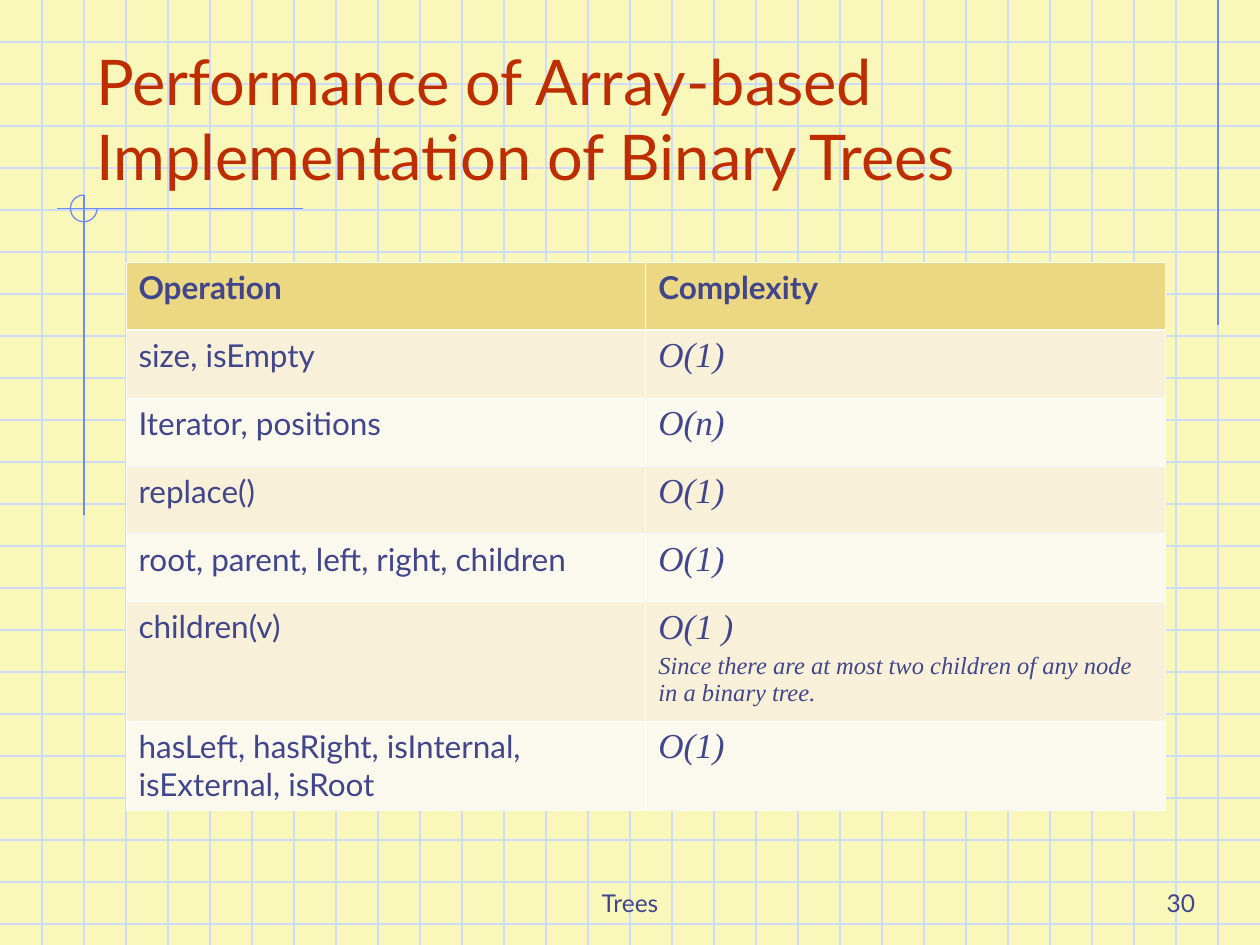
from dataclasses import dataclass

from pptx import Presentation
from pptx.dml.color import RGBColor
from pptx.enum.shapes import MSO_CONNECTOR, MSO_SHAPE
from pptx.enum.text import MSO_ANCHOR, PP_ALIGN
from pptx.oxml.ns import qn
from pptx.util import Pt
from lxml.etree import SubElement


@dataclass(frozen=True)
class Theme:
    paper: str = "F9F8BA"
    grid: str = "CFDBFD"
    accent: str = "6F89F7"
    title: str = "BE2D00"
    ink: str = "40458C"
    header: str = "ECD882"
    bands: tuple = ("F8F0D8", "FBF8ED")
    border: str = "FFFFFF"
    body_font: str = "Lato"
    math_font: str = "Times New Roman"
    title_size: float = 36
    body_size: float = 18
    math_size: float = 20
    small_size: float = 14
    line_width: float = 0.75
    border_width: float = 0.45
    header_border_width: float = 1.47


THEME = Theme()
WIDTH, HEIGHT, GRID_STEP = 720, 540, 24
ROW_HEIGHTS = [38.75] * 6 + [68, 51]
ROW_HEIGHTS = [38.75] * 5 + [68, 51]
ROWS = [
    ("Operation", ["Complexity"]),
    ("size, isEmpty", ["O(1)"]),
    ("Iterator, positions", ["O(n)"]),
    ("replace()", ["O(1)"]),
    ("root, parent, left, right, children", ["O(1)"]),
    ("children(v)", ["O(1 )", "Since there are at most two children of any node in a binary tree."]),
    ("hasLeft, hasRight, isInternal, isExternal, isRoot", ["O(1)"]),
]


def color(value):
    return RGBColor.from_string(value)


def style_paragraph(para, size, ink, font=THEME.body_font, bold=False, italic=False):
    for span in para.runs:
        span.font.size = Pt(size)
        span.font.name = font
        span.font.bold = bold
        span.font.italic = italic
        span.font.color.rgb = color(ink)


def add_line(page, start, end, ink):
    points = [Pt(value) for value in (*start, *end)]
    line = page.shapes.add_connector(MSO_CONNECTOR.STRAIGHT, *points)
    line.line.color.rgb = color(ink)
    line.line.width = Pt(THEME.line_width)
    SubElement(line._element.spPr, qn("a:effectLst"))


def add_grid(page):
    for y in range(GRID_STEP, HEIGHT, GRID_STEP):
        add_line(page, (0, y), (WIDTH, y), THEME.grid)
    for x in range(GRID_STEP, WIDTH, GRID_STEP):
        add_line(page, (x, 0), (x, HEIGHT), THEME.grid)


def add_ornament(page):
    add_line(page, (696, 0), (696, 186), THEME.accent)
    add_line(page, (173, 119.25), (32.5, 119.25), THEME.accent)
    add_line(page, (48, 111.5), (48, 294.5), THEME.accent)
    arc = page.shapes.add_shape(MSO_SHAPE.ARC, Pt(40.25), Pt(111.5), Pt(15.25), Pt(15.25))
    arc.adjustments[0] = 0
    arc.adjustments[1] = 162
    arc.shadow.inherit = False
    arc.fill.background()
    arc.line.color.rgb = color(THEME.accent)
    arc.line.width = Pt(THEME.line_width)


def add_text(page, text, frame, size, ink, align=PP_ALIGN.LEFT):
    box = page.shapes.add_textbox(*[Pt(value) for value in frame])
    box.text_frame.word_wrap = True
    box.text_frame.vertical_anchor = MSO_ANCHOR.BOTTOM
    box.text_frame.text = text
    para = box.text_frame.paragraphs[0]
    para.alignment = align
    style_paragraph(para, size, ink)


def add_borders(cell, top, bottom):
    properties = cell._tc.get_or_add_tcPr()
    widths = {"L": THEME.border_width, "R": THEME.border_width, "T": top, "B": bottom}
    for side, width in widths.items():
        edge = SubElement(properties, qn(f"a:ln{side}"), w=str(Pt(width)))
        fill = SubElement(edge, qn("a:solidFill"))
        SubElement(fill, qn("a:srgbClr"), val=THEME.border)


def format_cell(cell, row):
    thin, thick = THEME.border_width, THEME.header_border_width
    add_borders(cell, thick if row == 1 else thin, thick if row == 0 else thin)
    cell.fill.solid()
    cell.fill.fore_color.rgb = color(THEME.bands[(row - 1) % 2] if row else THEME.header)


def fill_complexity(cell, lines):
    cell.text_frame.text = "\n".join(lines)
    for index, para in enumerate(cell.text_frame.paragraphs):
        size = THEME.small_size if index else THEME.math_size
        style_paragraph(para, size, THEME.ink, THEME.math_font, italic=True)
        if index:
            para.space_before = Pt(3.5)


def add_complexity_table(page):
    frame = page.shapes.add_table(len(ROWS), 2, Pt(72), Pt(150), Pt(594), Pt(sum(ROW_HEIGHTS)))
    table = frame.table
    for column in table.columns:
        column.width = Pt(297)
    for row, (operation, complexity) in enumerate(ROWS):
        table.rows[row].height = Pt(ROW_HEIGHTS[row])
        left, right = table.cell(row, 0), table.cell(row, 1)
        format_cell(left, row)
        format_cell(right, row)
        left.text_frame.text = operation
        style_paragraph(left.text_frame.paragraphs[0], THEME.body_size, THEME.ink, bold=row == 0)
        if row:
            fill_complexity(right, complexity)
        else:
            right.text_frame.text = complexity[0]
            style_paragraph(right.text_frame.paragraphs[0], THEME.body_size, THEME.ink, bold=True)


def main():
    deck = Presentation()
    deck.slide_width, deck.slide_height = Pt(WIDTH), Pt(HEIGHT)
    page = deck.slides.add_slide(deck.slide_layouts[6])
    page.background.fill.solid()
    page.background.fill.fore_color.rgb = color(THEME.paper)
    add_grid(page)
    add_ornament(page)
    add_text(page, "Trees", (246, 492, 228, 36), THEME.small_size, THEME.ink, PP_ALIGN.CENTER)
    add_text(page, "30", (540, 492, 150, 36), THEME.small_size, THEME.ink, PP_ALIGN.RIGHT)
    add_text(page, "Performance of Array-based Implementation of Binary Trees",
             (48, 24, 612, 90), THEME.title_size, THEME.title)
    add_complexity_table(page)
    deck.save("out.pptx")


if __name__ == "__main__":
    main()
